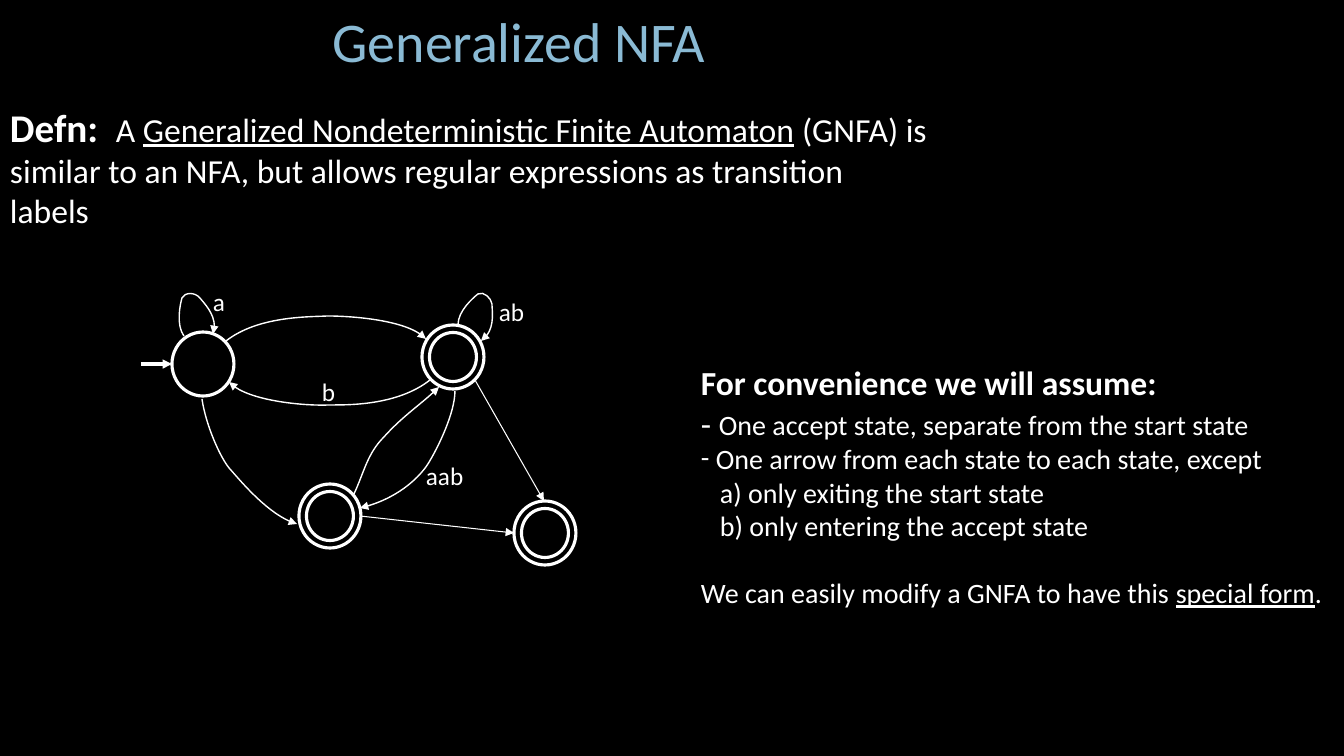
from dataclasses import dataclass

from lxml import etree
from pptx import Presentation, util as u
from pptx.dml.color import RGBColor
from pptx.enum import shapes, text
from pptx.oxml.ns import qn

SCALE = 12192000 / 1344


@dataclass(frozen=True)
class Theme:
    font: str = "Calibri"
    back: RGBColor = RGBColor(0, 0, 0)
    ink: RGBColor = RGBColor(255, 255, 255)
    accent: RGBColor = RGBColor(0x8A, 0xBA, 0xD4)
    title: int = 40
    term: int = 28
    lead: int = 24
    body: int = 20
    label: int = 18
    thick: float = 2.25
    curve: float = 1
    thin: float = 0.75


T = Theme()

# Centres, curve points and labels are relative to the graph's box.
STATES = [(63, 84, False), (313, 77, True), (190, 236, True), (405, 253, True)]
CURVES = [
    [(86, 61), (118, 36), (168, 37), (188, 36), (205, 36), (268, 39), (286, 59)],
    [(44, 56), (36, 45), (40, 25), (42, 18), (45, 12), (55, 12), (60, 18),
     (64, 23), (79, 38), (73, 54)],
    [(290, 100), (257, 126), (207, 125), (189, 125), (171, 126), (107, 122), (89, 102)],
    [(318, 45), (318, 31), (333, 18), (338, 14), (344, 11), (351, 18), (352, 24),
     (352, 30), (356, 51), (341, 61)],
    [(62, 119), (66, 146), (81, 179), (90, 189), (99, 199), (129, 236), (157, 244)],
    [(315, 111), (315, 133), (298, 168), (288, 184), (281, 195), (259, 219), (220, 228)],
    [(214, 214), (224, 193), (227, 174), (244, 157), (262, 137), (283, 123), (299, 107)],
]
ARROWS = [(1, 84, 32, 84, T.thick), (335, 100, 404, 221, T.thin),
          (220, 236, 374, 253, T.thin)]
LABELS = [("a", 63, 1, 33), ("ab", 349, 11, 46), ("b", 172, 91, 34), ("aab", 276, 175, 58)]


def px(n):
    return u.Emu(round(n * SCALE))


def style(font, size, color=T.ink):
    font.name, font.size = T.font, u.Pt(size)
    font.color.rgb = color


def add_text(slide, box, wrap=True):
    frame = slide.shapes.add_textbox(*map(px, box)).text_frame
    frame.word_wrap = wrap
    return frame


def add_run(para, words, **marks):
    run = para.add_run()
    run.text = words
    for name, value in marks.items():
        setattr(run.font, name, value)


def indent(para, left, dash=0):
    """Indent a paragraph, with a hanging dash of the given percent size."""
    props = para._p.get_or_add_pPr()
    props.set("marL", str(px(left)))
    if dash:
        props.set("indent", str(-px(left)))
        etree.SubElement(props, qn("a:buSzPct")).set("val", str(dash * 1000))
        etree.SubElement(props, qn("a:buFont")).set("typeface", T.font)
        etree.SubElement(props, qn("a:buChar")).set("char", "-")


def ink(shape, width, arrow=False):
    shape.line.color.rgb = T.ink
    shape.line.width = u.Pt(width)
    if arrow:
        line = shape.line._get_or_add_ln()
        etree.SubElement(line, qn("a:tailEnd")).set("type", "triangle")


def add_title(slide, box):
    title = slide.shapes.title
    title.left, title.top, title.width, title.height = map(px, box)
    frame = title.text_frame
    frame.text = "Generalized NFA"
    frame.vertical_anchor = text.MSO_ANCHOR.TOP
    para = frame.paragraphs[0]
    para.alignment = text.PP_ALIGN.CENTER
    style(para.font, T.title, T.accent)


def add_defn(slide, box):
    para = add_text(slide, box).paragraphs[0]
    tabs = etree.SubElement(para._p.get_or_add_pPr(), qn("a:tabLst"))
    stop = etree.SubElement(tabs, qn("a:tab"))
    stop.set("pos", str(px(106)))
    stop.set("algn", "l")
    style(para.font, T.lead)
    add_run(para, "Defn:\t", bold=True, size=u.Pt(T.term))
    add_run(para, "A ")
    add_run(para, "Generalized Nondeterministic Finite Automaton", underline=True)
    add_run(para, " (GNFA) is similar to an NFA, but allows regular expressions "
                  "as transition labels")


def add_rules(slide, box):
    frame = add_text(slide, box)
    head = frame.paragraphs[0]
    head.text = "For convenience we will assume:"
    style(head.font, T.lead)
    head.font.bold = True
    for words, left, dash, gap in [
        ("One accept state, separate from the start state", 18, 120, 4),
        ("One arrow from each state to each state, except", 15, 100, 0),
        ("a) only exiting the start state", 19, 0, 0),
        ("b) only entering the accept state", 19, 0, 0),
    ]:
        para = frame.add_paragraph()
        para.text = words
        para.space_before = u.Pt(gap)
        indent(para, left, dash)
        style(para.font, T.body)
    last = frame.add_paragraph()
    last.space_before = u.Pt(24)
    style(last.font, T.body)
    add_run(last, "We can easily modify a GNFA to have this ")
    add_run(last, "special form", underline=True)
    add_run(last, ".")


def add_ring(slide, x, y, wide, high):
    ring = slide.shapes.add_shape(shapes.MSO_SHAPE.OVAL, px(x - wide / 2),
                                  px(y - high / 2), px(wide), px(high))
    ring.shadow.inherit = False
    ring.fill.background()
    ink(ring, T.thick)


def add_curve(slide, points):
    """Draw a Bézier arrow: a start, then three points to each segment."""
    form = slide.shapes.build_freeform(*points[0], scale=SCALE)
    form.add_line_segments(points[1:], close=False)
    curve = form.convert_to_shape()
    trail = next(curve._element.iter(qn("a:path")))
    steps = trail.findall(qn("a:lnTo"))
    for i in range(0, len(steps), 3):
        cubic = etree.SubElement(trail, qn("a:cubicBezTo"))
        for step in steps[i:i + 3]:
            cubic.append(step[0])
            trail.remove(step)
    curve.shadow.inherit = False
    curve.fill.background()
    ink(curve, T.curve, arrow=True)


def add_arrow(slide, ends, width):
    arrow = slide.shapes.add_connector(shapes.MSO_CONNECTOR.STRAIGHT, *map(px, ends))
    ink(arrow, width, arrow=True)
    etree.SubElement(arrow._element.spPr, qn("a:effectLst"))


def add_graph(slide, left, top):
    for x, y, accept in STATES:
        add_ring(slide, left + x, top + y, 62, 64)
        if accept:
            add_ring(slide, left + x, top + y, 47, 49)
    for points in CURVES:
        add_curve(slide, [(left + x, top + y) for x, y in points])
    for x1, y1, x2, y2, width in ARROWS:
        add_arrow(slide, (left + x1, top + y1, left + x2, top + y2), width)
    for words, x, y, wide in LABELS:
        para = add_text(slide, (left + x, top + y, wide, 40), wrap=False).paragraphs[0]
        para.text = words
        style(para.font, T.label)


def main():
    deck = Presentation()
    deck.slide_width, deck.slide_height = px(1344), px(756)
    slide = deck.slides.add_slide(deck.slide_layouts[5])
    slide.background.fill.solid()
    slide.background.fill.fore_color.rgb = T.back
    add_title(slide, (112, 1, 814, 78))
    add_defn(slide, (0, 98, 939, 98))
    add_rules(slide, (691, 357, 650, 261))
    add_graph(slide, 140, 280)
    deck.save("out.pptx")


if __name__ == "__main__":
    main()
